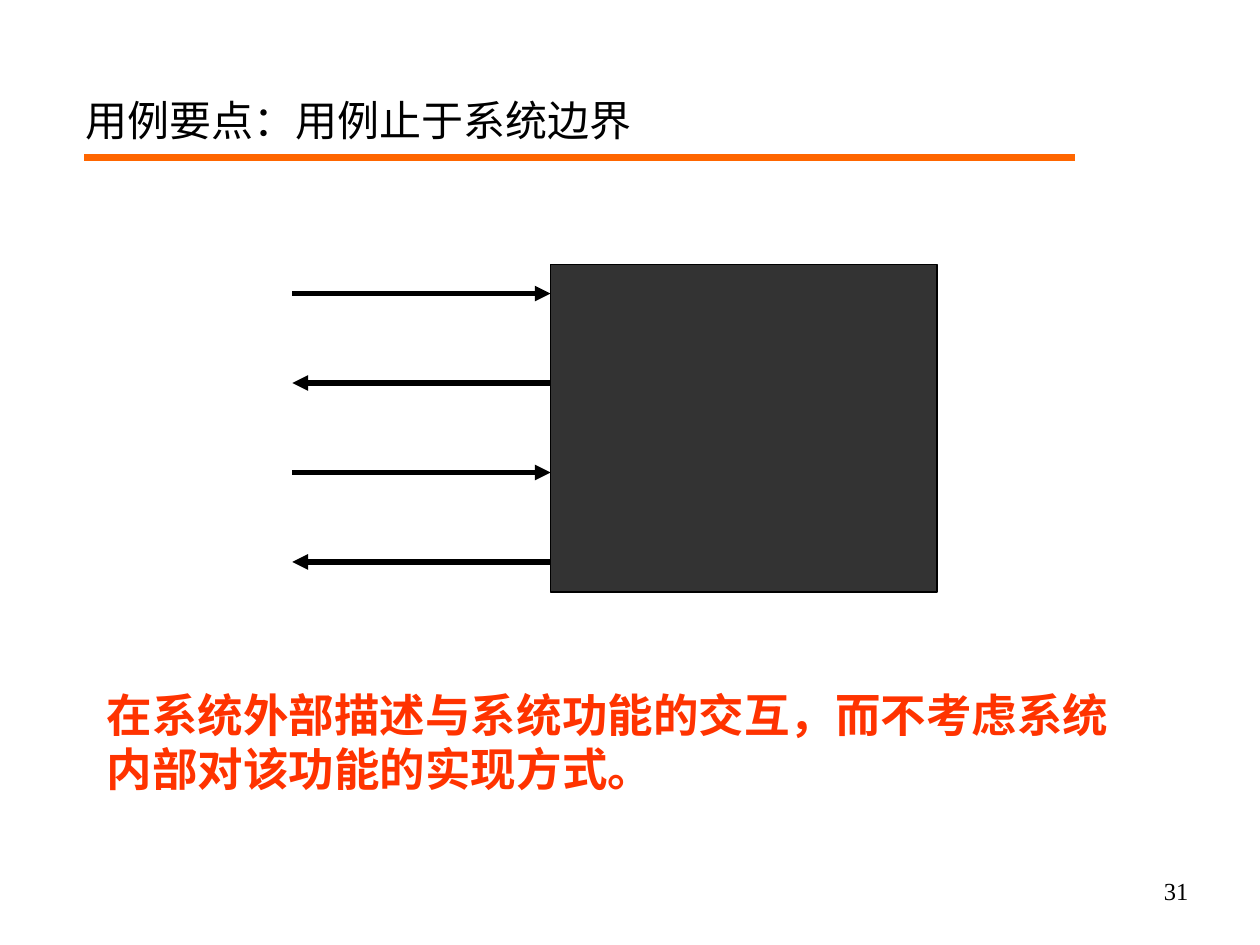
from lxml.etree import SubElement
from pptx import Presentation
from pptx.dml.color import RGBColor
from pptx.enum.shapes import MSO_CONNECTOR, MSO_SHAPE
from pptx.enum.text import MSO_ANCHOR, MSO_AUTO_SIZE, PP_ALIGN
from pptx.oxml.ns import qn
from pptx.util import Inches, Pt

BLACK = RGBColor(0x00, 0x00, 0x00)
CHARCOAL = RGBColor(0x33, 0x33, 0x33)
ORANGE = RGBColor(0xFF, 0x66, 0x00)
RED = RGBColor(0xFF, 0x33, 0x00)


def write(box, text, size, font, color, bold=False, align=PP_ALIGN.LEFT):
    frame = box.text_frame
    frame.word_wrap = True
    frame.auto_size = MSO_AUTO_SIZE.NONE
    frame.vertical_anchor = MSO_ANCHOR.TOP
    frame.text = text
    para = frame.paragraphs[0]
    para.alignment = align
    para.font.size = Pt(size)
    para.font.name = font
    para.font.bold = bold
    para.font.color.rgb = color
    return para


def add_line(page, start, end, color, width, arrow=False):
    line = page.shapes.add_connector(
        MSO_CONNECTOR.STRAIGHT, *(Inches(value) for value in (*start, *end)))
    line.line.color.rgb = color
    line.line.width = Pt(width)
    if arrow:
        SubElement(line.line._get_or_add_ln(), qn("a:tailEnd"), type="triangle")
    SubElement(line._element.spPr, qn("a:effectLst"))


def add_title(page, left, top, width, height):
    title = page.shapes.title
    title.left, title.top = Inches(left), Inches(top)
    title.width, title.height = Inches(width), Inches(height)
    para = write(title, "用例要点：用例止于系统边界", 24, "Times New Roman", BLACK)
    para.line_spacing = 1.3
    para.space_before = Pt(9)
    add_line(page, (0.67, 1.25), (8.53, 1.25), ORANGE, 4)


def add_black_box(page, left, top, width, height):
    arrow_length, first_arrow, arrow_gap = 2.05, 0.23, 0.71
    system = page.shapes.add_shape(
        MSO_SHAPE.RECTANGLE, Inches(left), Inches(top), Inches(width), Inches(height))
    system.shadow.inherit = False
    system.fill.solid()
    system.fill.fore_color.rgb = CHARCOAL
    system.line.color.rgb = BLACK
    system.line.width = Pt(1)
    for index in range(4):
        y = top + first_arrow + index * arrow_gap
        outside, boundary = (left - arrow_length, y), (left, y)
        start, end = (outside, boundary) if index % 2 == 0 else (boundary, outside)
        add_line(page, start, end, BLACK, 3, arrow=True)


def add_conclusion(page, left, top, width, height):
    box = page.shapes.add_textbox(
        Inches(left), Inches(top), Inches(width), Inches(height))
    para = write(box, "在系统外部描述与系统功能的交互，而不考虑系统内部对该功能的实现方式。",
                 26, "Arial", RED, bold=True)
    para.space_before = Pt(16.2)


def add_page_number(page, left, top, width, height):
    box = page.shapes.add_textbox(
        Inches(left), Inches(top), Inches(width), Inches(height))
    write(box, "31", 14, "Times New Roman", BLACK, align=PP_ALIGN.RIGHT)


def main():
    deck = Presentation()
    deck.slide_width, deck.slide_height = Inches(10), Inches(7.5)
    page = deck.slides.add_slide(deck.slide_layouts[5])
    add_title(page, 0.58, 0.58, 5.99, 0.62)
    add_black_box(page, 4.37, 2.1, 3.07, 2.6)
    add_conclusion(page, 0.75, 5.4, 8.27, 0.97)
    add_page_number(page, 7.2, 6.9, 2.33, 0.44)
    deck.save("out.pptx")


if __name__ == "__main__":
    main()
